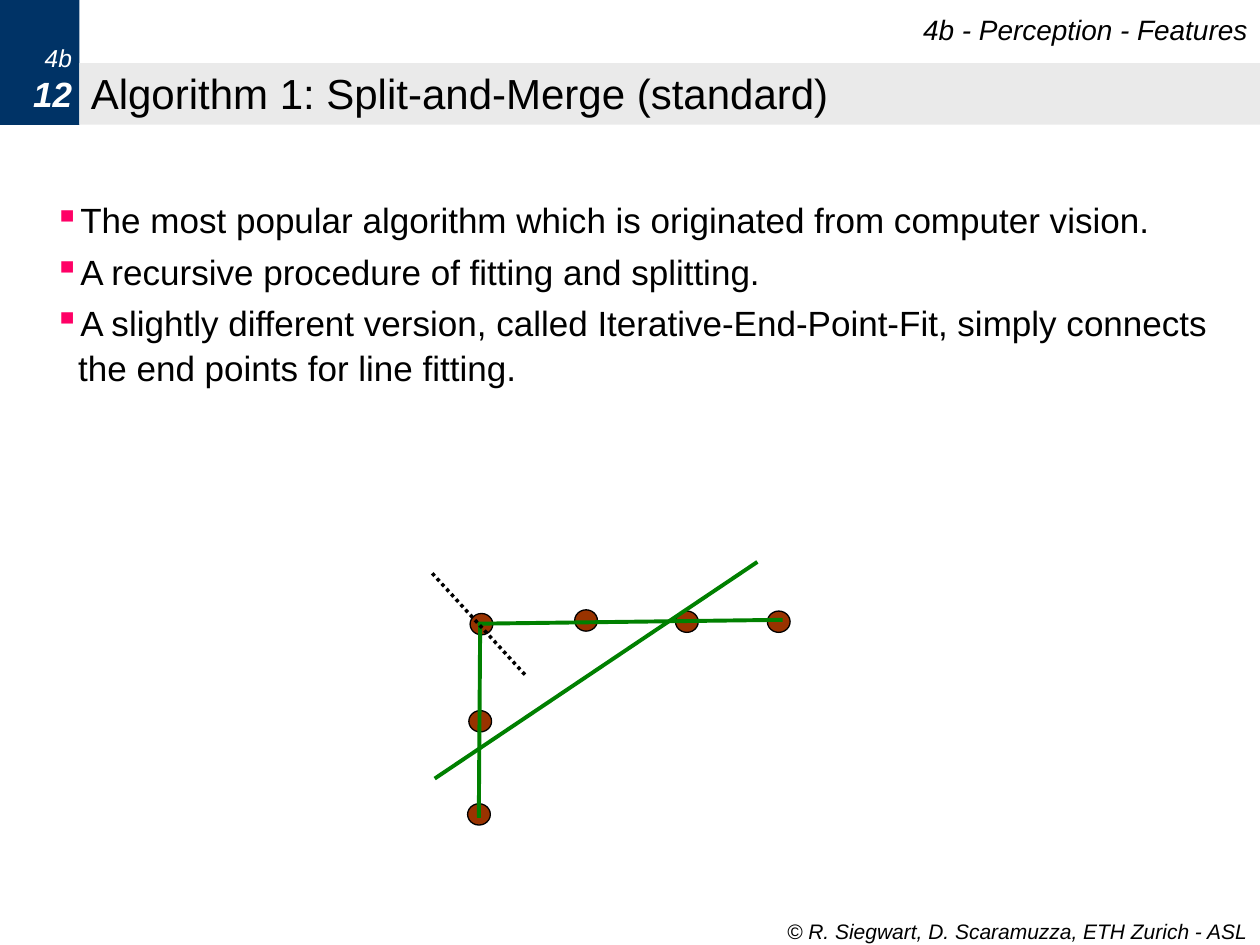
from lxml import etree
from pptx import Presentation
from pptx.dml.color import RGBColor
from pptx.enum import dml, shapes, text
from pptx.oxml.ns import qn
from pptx.util import Pt

BLACK, WHITE, NAVY, GREY = "000000", "FFFFFF", "003366", "EAEAEA"
PINK, BROWN, GREEN = "FF0066", "993300", "008000"
RIGHT = text.PP_ALIGN.RIGHT


def color(value):
    return RGBColor.from_string(value)


def add_block(slide, kind, box, fill, line=None):
    shape = slide.shapes.add_shape(kind, *map(Pt, box))
    shape.shadow.inherit = False
    shape.fill.solid()
    shape.fill.fore_color.rgb = color(fill)
    if line:
        shape.line.color.rgb = color(line)
        shape.line.width = Pt(0.75)
    else:
        shape.line.fill.background()
    return shape


def add_line(slide, start, end, stroke, width, dash=None):
    line = slide.shapes.add_connector(shapes.MSO_CONNECTOR.STRAIGHT, *map(Pt, start + end))
    line.line.color.rgb = color(stroke)
    line.line.width = Pt(width)
    if dash:
        line.line.dash_style = dash
    etree.SubElement(line._element.spPr, qn("a:effectLst"))


def add_bullet(paragraph, indent):
    properties = paragraph._p.get_or_add_pPr()
    properties.set("marL", str(Pt(indent)))
    properties.set("indent", str(-Pt(indent)))
    bullet_color = etree.SubElement(properties, qn("a:buClr"))
    etree.SubElement(bullet_color, qn("a:srgbClr"), val=PINK)
    etree.SubElement(properties, qn("a:buChar"), char="▪")


def write(frame, lines, sizes, ink=BLACK, align=text.PP_ALIGN.LEFT, italic=False, bold=(),
          insets=(7.2, 3.6, 7.2, 3.6), anchor=text.MSO_ANCHOR.TOP, wrap=True,
          spacing=None, gap=0, bullet_indent=None):
    """Write one paragraph per line; bold holds the indexes of the bold lines."""
    frame.word_wrap = wrap
    frame.vertical_anchor = anchor
    (frame.margin_left, frame.margin_top,
     frame.margin_right, frame.margin_bottom) = map(Pt, insets)
    for index, (line, size) in enumerate(zip(lines, sizes)):
        paragraph = frame.add_paragraph() if index else frame.paragraphs[0]
        paragraph.alignment = align
        if spacing:
            paragraph.line_spacing = spacing
        if index and gap:
            paragraph.space_before = Pt(gap)
        if bullet_indent:
            add_bullet(paragraph, bullet_indent)
        run = paragraph.add_run()
        run.text = line
        font = run.font
        font.name, font.size = "Arial", Pt(size)
        font.italic, font.bold = italic, index in bold
        font.color.rgb = color(ink)


def add_text(slide, box, lines, sizes, **layout):
    write(slide.shapes.add_textbox(*map(Pt, box)).text_frame, lines, sizes, **layout)


def add_header(slide, left, top, width, height):
    tab_width, bar_height = 45.4, 35.3
    tab = add_block(slide, shapes.MSO_SHAPE.PENTAGON, (left, top, tab_width, height), NAVY)
    tab.adjustments[0] = 0
    add_text(slide, (left + 184.3, top + 3.6, width - 184.3, 28.8),
             ["4b - Perception - Features"], [16], align=RIGHT, italic=True)
    add_text(slide, (left - 2.9, top + 20.9, 51.1, 50.4), ["4b", "12"], [14, 20],
             ink=WHITE, align=RIGHT, italic=True, bold=(1,))
    bar = add_block(slide, shapes.MSO_SHAPE.RECTANGLE,
                    (left + tab_width, top + height - bar_height, width - tab_width, bar_height),
                    GREY)
    write(bar.text_frame, ["Algorithm 1: Split-and-Merge (standard)"], [24],
          insets=(6.5, 7.2, 7.2, 3.6), anchor=text.MSO_ANCHOR.MIDDLE, spacing=0.85)


def add_body(slide, *box):
    lines = [
        "The most popular algorithm which is originated from computer vision.",
        "A recursive procedure of fitting and splitting.",
        "A slightly different version, called Iterative-End-Point-Fit, "
        "simply connects the end points for line fitting.",
    ]
    add_text(slide, box, lines, [20] * len(lines), insets=(0, 3.6, 0, 3.6),
             spacing=1.07, gap=3.5, bullet_indent=13.7)


def add_split_diagram(slide, left, top):
    """Draw the sample points, the fitted lines and the dotted split line."""
    def place(x, y):
        return left + x, top + y

    dots = [(21.6, 29.5), (20.9, 85), (20.2, 138.2), (81.4, 27.4), (139, 28.1), (191.5, 28.1)]
    for dot in dots:
        add_block(slide, shapes.MSO_SHAPE.OVAL, place(*dot) + (13, 12.2), BROWN, BLACK)
    fits = [((1.4, 123.8), (185.8, 0)), ((26.6, 146.2), (27.4, 34.6)),
            ((25.9, 35.3), (200.2, 33.1))]
    for start, end in fits:
        add_line(slide, place(*start), place(*end), GREEN, 2.25)
    add_line(slide, place(0, 6.5), place(53.3, 64.8), BLACK, 2, dml.MSO_LINE.ROUND_DOT)


def add_footer(slide, *box):
    add_text(slide, box, ["© R. Siegwart, D. Scaramuzza, ETH Zurich - ASL"], [12],
             align=RIGHT, italic=True, wrap=False)


def main():
    presentation = Presentation()
    presentation.slide_width, presentation.slide_height = Pt(720), Pt(540)
    slide = presentation.slides.add_slide(presentation.slide_layouts[6])
    add_footer(slide, 440, 521.3, 280, 21.6)
    add_header(slide, 0, 0, 720, 71.3)
    add_body(slide, 31, 108.5, 676.8, 416)
    add_split_diagram(slide, 247, 321.1)
    presentation.save("out.pptx")


if __name__ == "__main__":
    main()
